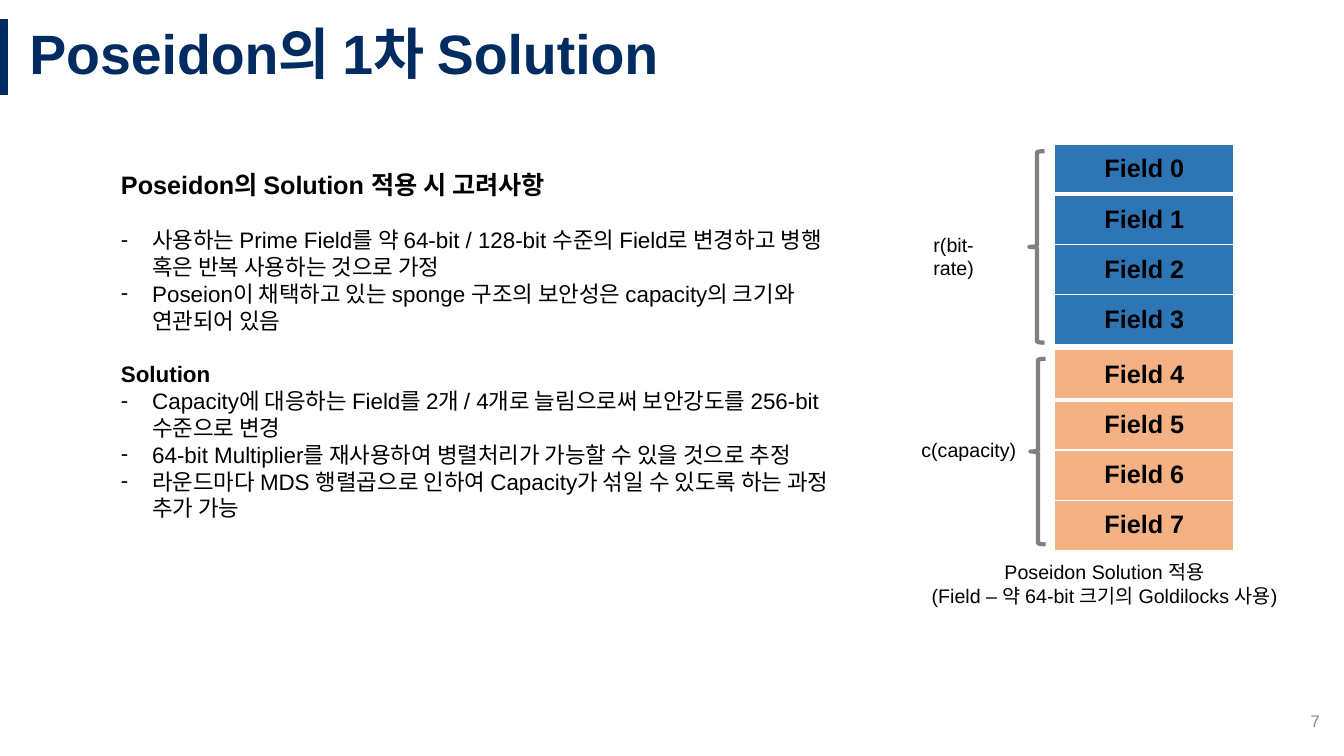
from lxml import etree
from pptx import Presentation
from pptx import util as u
from pptx.dml.color import RGBColor
from pptx.enum import shapes, text
from pptx.oxml import ns

COLORS = {"navy": "002C62", "black": "000000", "gray": "808080", "number": "8C8C8C",
          "rate": "2E75B6", "capacity": "F4B183", "white": "FFFFFF"}
CONSIDERATIONS = [
    "사용하는 Prime Field를 약 64-bit / 128-bit 수준의 Field로 변경하고 병행 혹은 반복 사용하는 것으로 가정",
    "Poseion이 채택하고 있는 sponge 구조의 보안성은 capacity의 크기와 연관되어 있음",
]
SOLUTIONS = [
    "Capacity에 대응하는 Field를 2개 / 4개로 늘림으로써 보안강도를 256-bit 수준으로 변경",
    "64-bit Multiplier를 재사용하여 병렬처리가 가능할 수 있을 것으로 추정",
    "라운드마다 MDS 행렬곱으로 인하여 Capacity가 섞일 수 있도록 하는 과정 추가 가능",
]
LEFT, CENTER, RIGHT = text.PP_ALIGN.LEFT, text.PP_ALIGN.CENTER, text.PP_ALIGN.RIGHT
TOP, MIDDLE = text.MSO_ANCHOR.TOP, text.MSO_ANCHOR.MIDDLE


def rgb(name):
    """Look up a named colour."""
    return RGBColor.from_string(COLORS[name])


def place(part, left, top, width, height):
    """Move and size a part, in inches."""
    part.left, part.top = u.Inches(left), u.Inches(top)
    part.width, part.height = u.Inches(width), u.Inches(height)


def write(paragraph, words, size, color="black", bold=False, align=LEFT):
    """Add one formatted run to a paragraph."""
    paragraph.alignment = align
    run = paragraph.add_run()
    run.text = words
    run.font.name, run.font.size, run.font.bold = "Arial", u.Pt(size), bold
    run.font.color.rgb = rgb(color)


def add_label(slide, box, lines, size=14, color="black", align=LEFT, anchor=TOP):
    """Add a wrapping text box with one paragraph per line."""
    frame = slide.shapes.add_textbox(*map(u.Inches, box)).text_frame
    frame.word_wrap, frame.vertical_anchor = True, anchor
    for index, line in enumerate(lines):
        paragraph = frame.add_paragraph() if index else frame.paragraphs[0]
        write(paragraph, line, size, color, align=align)


def add_title(slide, words):
    """Fill the title placeholder and add the bar beside it."""
    bar = slide.shapes.add_connector(shapes.MSO_CONNECTOR.STRAIGHT, u.Inches(0.04),
                                     u.Inches(0.19), u.Inches(0.04), u.Inches(0.94))
    bar.line.color.rgb, bar.line.width = rgb("navy"), u.Pt(6)
    etree.SubElement(bar.element.spPr, ns.qn("a:effectLst"))
    title = slide.shapes.title
    place(title, 0.19, 0.19, 13.15, 0.75)
    frame = title.text_frame
    frame.auto_size, frame.vertical_anchor = text.MSO_AUTO_SIZE.NONE, MIDDLE
    frame.paragraphs[0].line_spacing = 0.9
    write(frame.paragraphs[0], words, 39.6, "navy", True)


def add_body_line(paragraph, words, size=16, heading=False, before=0):
    """Write a bold heading or a dashed list item."""
    properties = paragraph._p.get_or_add_pPr()
    indent = 0 if heading else u.Inches(0.31)
    properties.set("marL", str(indent))
    properties.set("indent", str(-indent))
    if heading:
        etree.SubElement(properties, ns.qn("a:buNone"))
    else:
        etree.SubElement(properties, ns.qn("a:buFontTx"))
        etree.SubElement(properties, ns.qn("a:buChar")).set("char", "-")
    paragraph.space_before = u.Pt(before)
    write(paragraph, words, size, bold=heading)


def add_body(slide):
    """Fill the body placeholder with both sections."""
    body = slide.placeholders[1]
    place(body, 1.1, 1.63, 7.53, 3.64)
    frame = body.text_frame
    frame.auto_size, frame.vertical_anchor = text.MSO_AUTO_SIZE.NONE, TOP
    add_body_line(frame.paragraphs[0], "Poseidon의 Solution 적용 시 고려사항", 18, True)
    for index, item in enumerate(CONSIDERATIONS):
        add_body_line(frame.add_paragraph(), item, before=0 if index else 19)
    add_body_line(frame.add_paragraph(), "Solution", heading=True, before=19)
    for item in SOLUTIONS:
        add_body_line(frame.add_paragraph(), item)


def set_borders(cell, widths):
    """Give a cell white borders, with widths in points by side."""
    properties = cell._tc.get_or_add_tcPr()
    for side, width in widths.items():
        border = etree.SubElement(properties, ns.qn(f"a:ln{side}"), w=str(u.Pt(width)))
        fill = etree.SubElement(border, ns.qn("a:solidFill"))
        etree.SubElement(fill, ns.qn("a:srgbClr")).set("val", COLORS["white"])


def add_fields(slide, top, first, color):
    """Add a table of four numbered fields."""
    table = slide.shapes.add_table(4, 1, u.Inches(10.46), u.Inches(top),
                                   u.Inches(1.78), u.Inches(1.99)).table
    for row in range(4):
        cell = table.cell(row, 0)
        set_borders(cell, {"L": 1, "R": 1, "T": 3 if row == 1 else 1, "B": 1 if row else 3})
        cell.fill.solid()
        cell.fill.fore_color.rgb = rgb(color)
        cell.vertical_anchor = MIDDLE
        write(cell.text_frame.paragraphs[0], f"Field {first + row}", 18, bold=True, align=CENTER)


def add_brace(slide, left, top, height):
    """Add a gray brace opening to the right."""
    brace = slide.shapes.add_shape(shapes.MSO_SHAPE.LEFT_BRACE, u.Inches(left),
                                   u.Inches(top), u.Inches(0.15), u.Inches(height))
    brace.shadow.inherit = False
    brace.fill.background()
    brace.line.color.rgb, brace.line.width = rgb("gray"), u.Pt(3)


def main():
    """Build the slide and save it."""
    deck = Presentation()
    deck.slide_width, deck.slide_height = u.Inches(13.33), u.Inches(7.5)
    slide = deck.slides.add_slide(deck.slide_layouts[1])
    add_title(slide, "Poseidon의 1차 Solution")
    add_label(slide, (10.19, 6.95, 3, 0.4), ["7"], 12, "number", RIGHT, MIDDLE)
    add_body(slide)
    add_fields(slide, 1.43, 0, "rate")
    add_brace(slide, 10.21, 1.5, 1.9)
    add_label(slide, (9.16, 2.26, 0.95, 0.66), ["r(bit-rate)"])
    add_fields(slide, 3.47, 4, "capacity")
    add_brace(slide, 10.22, 3.56, 1.84)
    add_label(slide, (9.04, 4.3, 1.17, 0.66), ["c(capacity)"])
    add_label(slide, (9.04, 5.51, 3.83, 0.57),
              ["Poseidon Solution 적용", "(Field – 약 64-bit 크기의 Goldilocks 사용)"], align=CENTER)
    deck.save("out.pptx")


if __name__ == "__main__":
    main()
